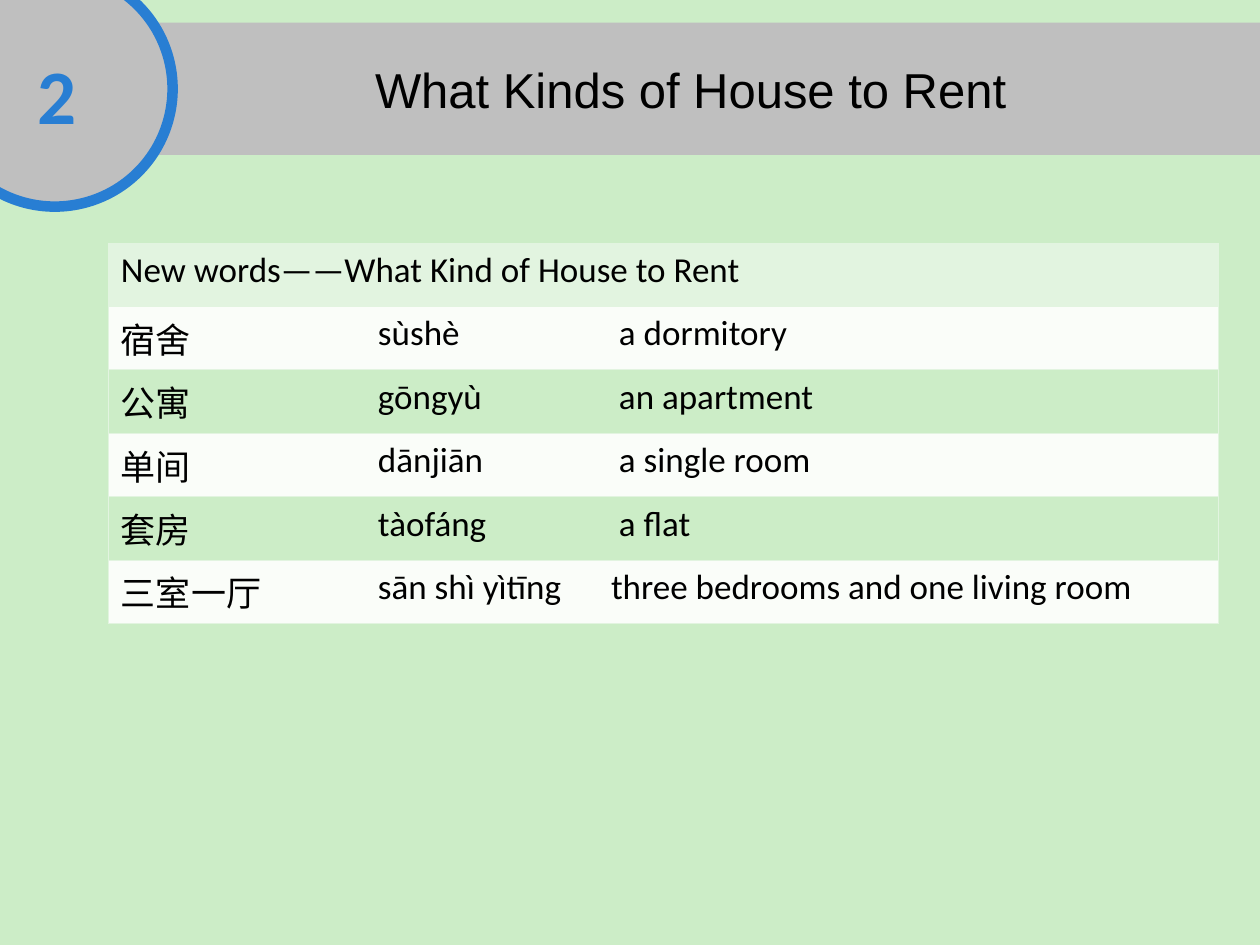
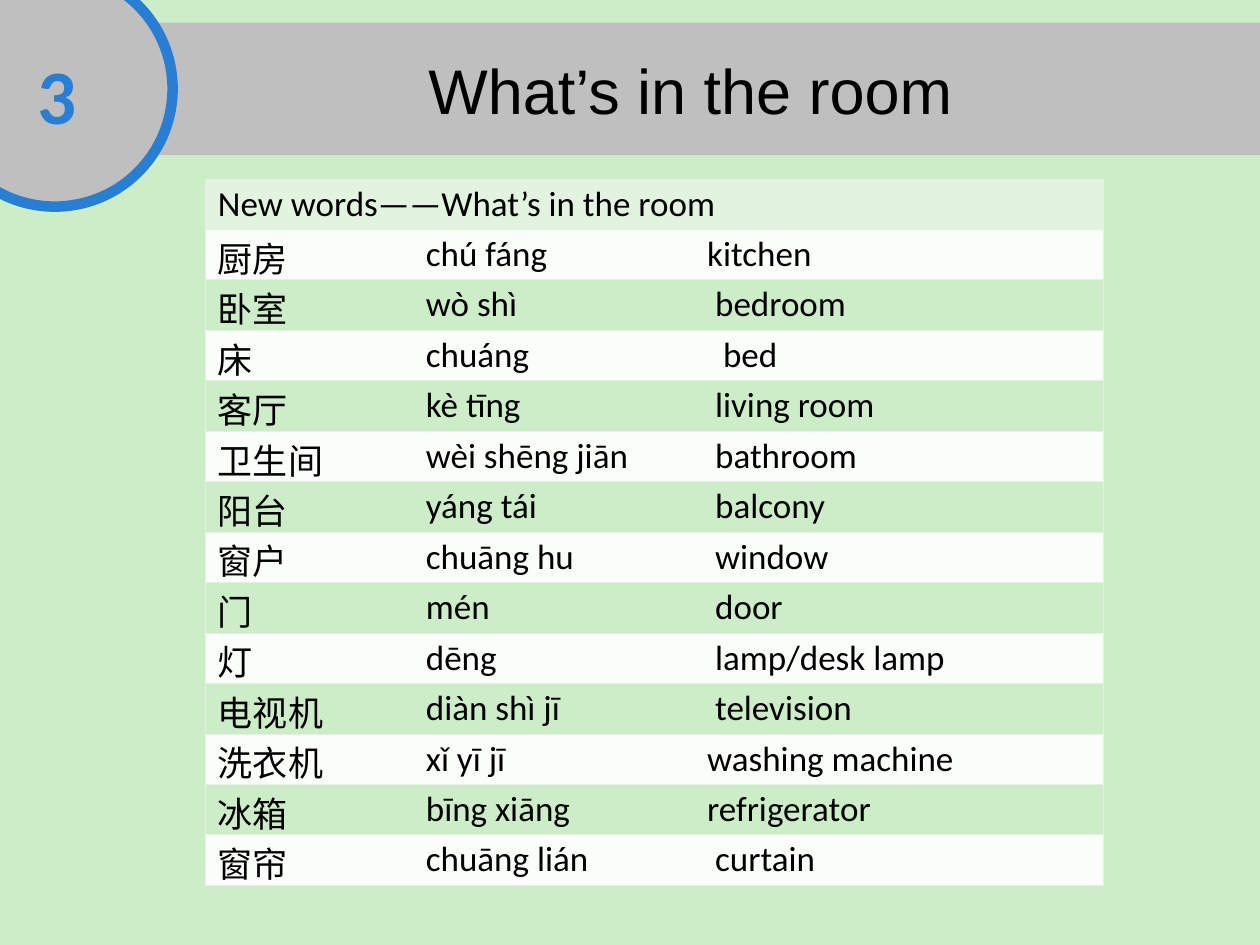
from dataclasses import dataclass

from lxml import etree
from pptx import Presentation
from pptx.dml.color import RGBColor
from pptx.enum.shapes import MSO_SHAPE
from pptx.enum.text import MSO_ANCHOR, MSO_AUTO_SIZE, PP_ALIGN
from pptx.oxml.ns import qn
from pptx.util import Inches, Pt

RECTANGLE, OVAL = MSO_SHAPE.RECTANGLE, MSO_SHAPE.OVAL
CENTER, MIDDLE = PP_ALIGN.CENTER, MSO_ANCHOR.MIDDLE
GROW = MSO_AUTO_SIZE.SHAPE_TO_FIT_TEXT


@dataclass(frozen=True)
class Theme:
    background: str = "CCEDC7"
    band: str = "BFBFBF"
    accent: str = "287ED3"
    ink: str = "000000"
    heading_row: str = "E2F4E0"
    light_row: str = "FAFDF9"
    border: str = "E2F4E0"
    title_font: str = "Arial"
    body_font: str = "Calibri"
    number_size: int = 44
    word_size: int = 20
    ring_width: float = 6
    border_width: float = 0.45


class LessonDeck:
    """Slides on a grid of 100 columns by 75 rows."""

    COLUMNS, ROWS = 100, 75
    CELL_MARGIN = 1
    INDENT_STEP = 0.63

    def __init__(self, theme):
        self.theme = theme
        self.prs = Presentation()
        self.prs.slide_width, self.prs.slide_height = Inches(10), Inches(7.5)
        self.slide = None

    def x(self, columns):
        return round(self.prs.slide_width * columns / self.COLUMNS)

    def y(self, rows):
        return round(self.prs.slide_height * rows / self.ROWS)

    def box(self, left, top, width, height):
        return self.x(left), self.y(top), self.x(width), self.y(height)

    def new_slide(self):
        self.slide = self.prs.slides.add_slide(self.prs.slide_layouts[6])
        fill = self.slide.background.fill
        fill.solid()
        fill.fore_color.rgb = RGBColor.from_string(self.theme.background)

    def styled_text(self, frame, text, size, font, color, bold=False, align=None):
        frame.text = text
        paragraph = frame.paragraphs[0]
        paragraph.alignment = align
        style = paragraph.runs[0].font
        style.size, style.name, style.bold = Pt(size), font, bold
        style.color.rgb = RGBColor.from_string(color)
        return paragraph

    def shape(self, shapes, kind, place, fill, line=None):
        item = shapes.add_shape(kind, *self.box(*place))
        item.shadow.inherit = False
        item.fill.solid()
        item.fill.fore_color.rgb = RGBColor.from_string(fill)
        if line:
            item.line.color.rgb = RGBColor.from_string(line)
            item.line.width = Pt(self.theme.ring_width)
        else:
            item.line.fill.background()
        return item

    def header(self, title, size):
        theme = self.theme
        shapes = self.slide.shapes.add_group_shape().shapes
        band = self.shape(shapes, RECTANGLE, (8.6, 1.8, 91.4, 10.5), theme.band)
        frame = band.text_frame
        frame.margin_left = self.x(2)
        frame.vertical_anchor = MIDDLE
        self.styled_text(frame, title, size, theme.title_font, theme.ink,
                         align=CENTER)
        self.shape(shapes, OVAL, (-5, -2.3, 18.7, 18.7), theme.band, theme.accent)

    def number(self, text):
        theme = self.theme
        place = self.box(-1.4, 3.3, 11.8, 8.4)
        frame = self.slide.shapes.add_textbox(*place).text_frame
        frame.word_wrap = True
        frame.auto_size = GROW
        self.styled_text(frame, text, theme.number_size, theme.body_font,
                         theme.accent, True, CENTER)

    def border(self, cell, side, visible):
        props = cell._tc.get_or_add_tcPr()
        line = etree.SubElement(props, qn(f"a:ln{side}"),
                                w=str(Pt(self.theme.border_width)))
        if visible:
            fill = etree.SubElement(line, qn("a:solidFill"))
            etree.SubElement(fill, qn("a:srgbClr"), val=self.theme.border)
        else:
            etree.SubElement(line, qn("a:noFill"))

    def word_table(self, heading, words, left, top, widths, heights, spacing):
        """Each word is (Chinese, pinyin, English, indent steps of the English);
        heights are those of the heading row and of a word row."""
        theme = self.theme
        heading_height, word_height = heights
        total = heading_height + word_height * len(words)
        place = self.box(left, top, sum(widths), total)
        table = self.slide.shapes.add_table(
            len(words) + 1, len(widths), *place).table
        table.first_row = table.horz_banding = False
        for column, width in zip(table.columns, widths):
            column.width = self.x(width)
        for index, row in enumerate(table.rows):
            row.height = self.y(word_height if index else heading_height)
        last = len(widths) - 1
        table.cell(0, 0).merge(table.cell(0, last))

        for r, row in enumerate(table.rows):
            if r == 0:
                color = theme.heading_row
            else:
                color = theme.light_row if r % 2 else theme.background
            for c, cell in enumerate(row.cells):
                for side, visible in (("L", c == 0 or r == 0),
                                      ("R", c == last or r == 0),
                                      ("T", True), ("B", True)):
                    self.border(cell, side, visible)
                cell.fill.solid()
                cell.fill.fore_color.rgb = RGBColor.from_string(color)

        self.cell_text(table.cell(0, 0), heading, spacing)
        for r, (*texts, indent) in enumerate(words, start=1):
            for c, text in enumerate(texts):
                self.cell_text(table.cell(r, c), text, spacing)
            table.cell(r, last).margin_left = self.x(
                self.CELL_MARGIN + indent * self.INDENT_STEP)

    def cell_text(self, cell, text, spacing):
        theme = self.theme
        paragraph = self.styled_text(cell.text_frame, text, theme.word_size,
                                     theme.body_font, theme.ink)
        paragraph.line_spacing = spacing


HOUSE_WORDS = [
    ("宿舍", "sùshè", "a dormitory", 1),
    ("公寓", "gōngyù", "an apartment", 1),
    ("单间", "dānjiān", "a single room", 1),
    ("套房", "tàofáng", "a flat", 1),
    ("三室一厅", "sān shì yìtīng", "three bedrooms and one living room", 0),
]
ROOM_WORDS = [
    ("厨房", "chú fáng", "kitchen", 1),
    ("卧室", "wò shì", "bedroom", 2),
    ("床", "chuáng", "bed", 3),
    ("客厅", "kè tīng", "living room", 2),
    ("卫生间", "wèi shēng jiān", "bathroom", 2),
    ("阳台", "yáng tái", "balcony", 2),
    ("窗户", "chuāng hu", "window", 2),
    ("门", "mén", "door", 2),
    ("灯", "dēng", "lamp/desk lamp", 2),
    ("电视机", "diàn shì jī", "television", 2),
    ("洗衣机", "xǐ yī jī", "washing machine", 1),
    ("冰箱", "bīng xiāng", "refrigerator", 1),
    ("窗帘", "chuāng lián", "curtain", 2),
]
LESSONS = [
    ("2", "What Kinds of House to Rent", 28,
     ("New words——What Kind of House to Rent", HOUSE_WORDS,
      8.6, 19.3, (20.4, 18.5, 49.2), (5, 4.57), 1.0)),
    ("3", "What’s in the room", 36,
     ("New words——What’s in the room", ROOM_WORDS,
      16.3, 14.2, (16.5, 21.7, 33.1), (4, 4), 0.9)),
]


def main():
    deck = LessonDeck(Theme())
    for number, title, title_size, vocabulary in LESSONS:
        deck.new_slide()
        deck.header(title, title_size)
        deck.word_table(*vocabulary)
        deck.number(number)
    deck.prs.save("out.pptx")


if __name__ == "__main__":
    main()
